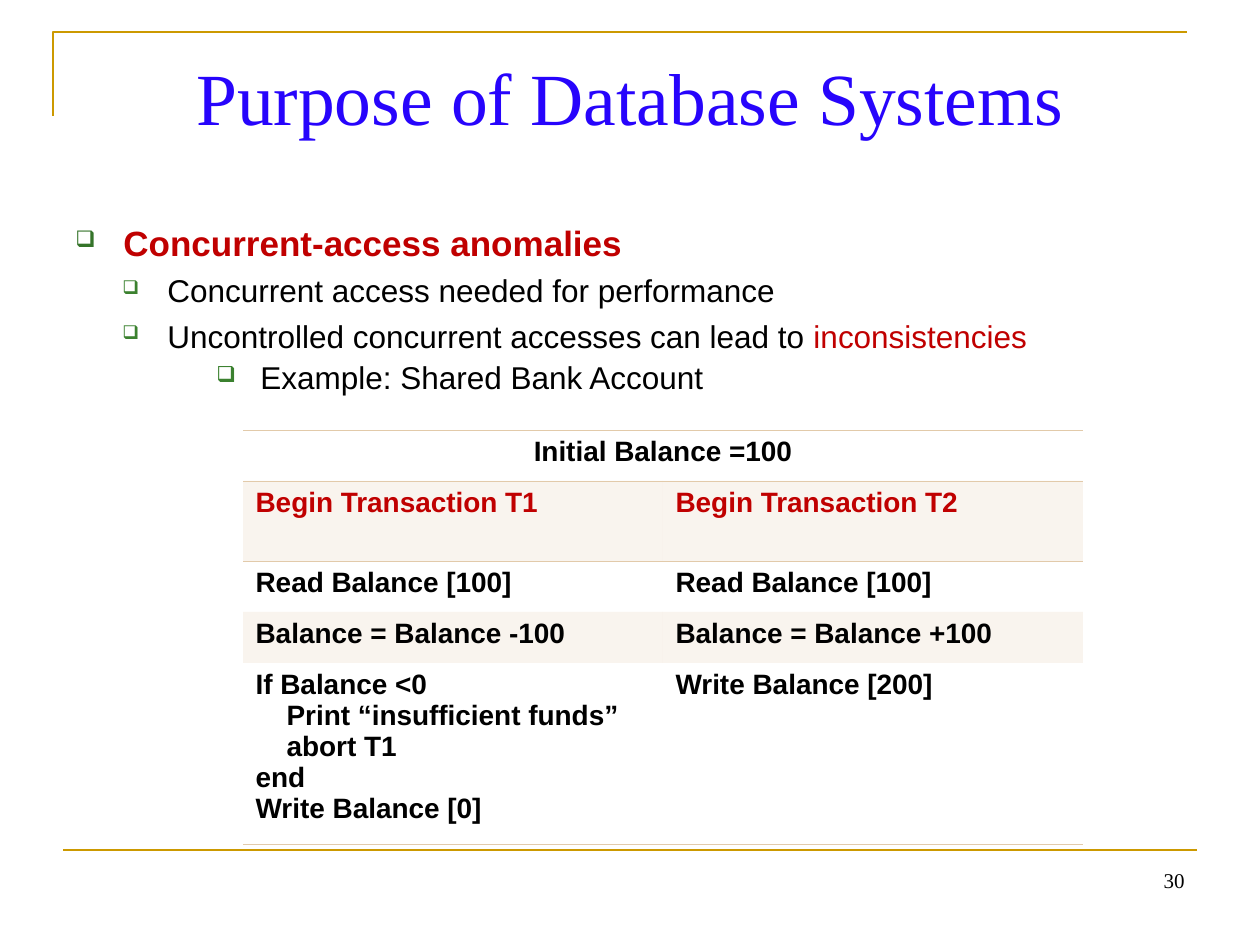
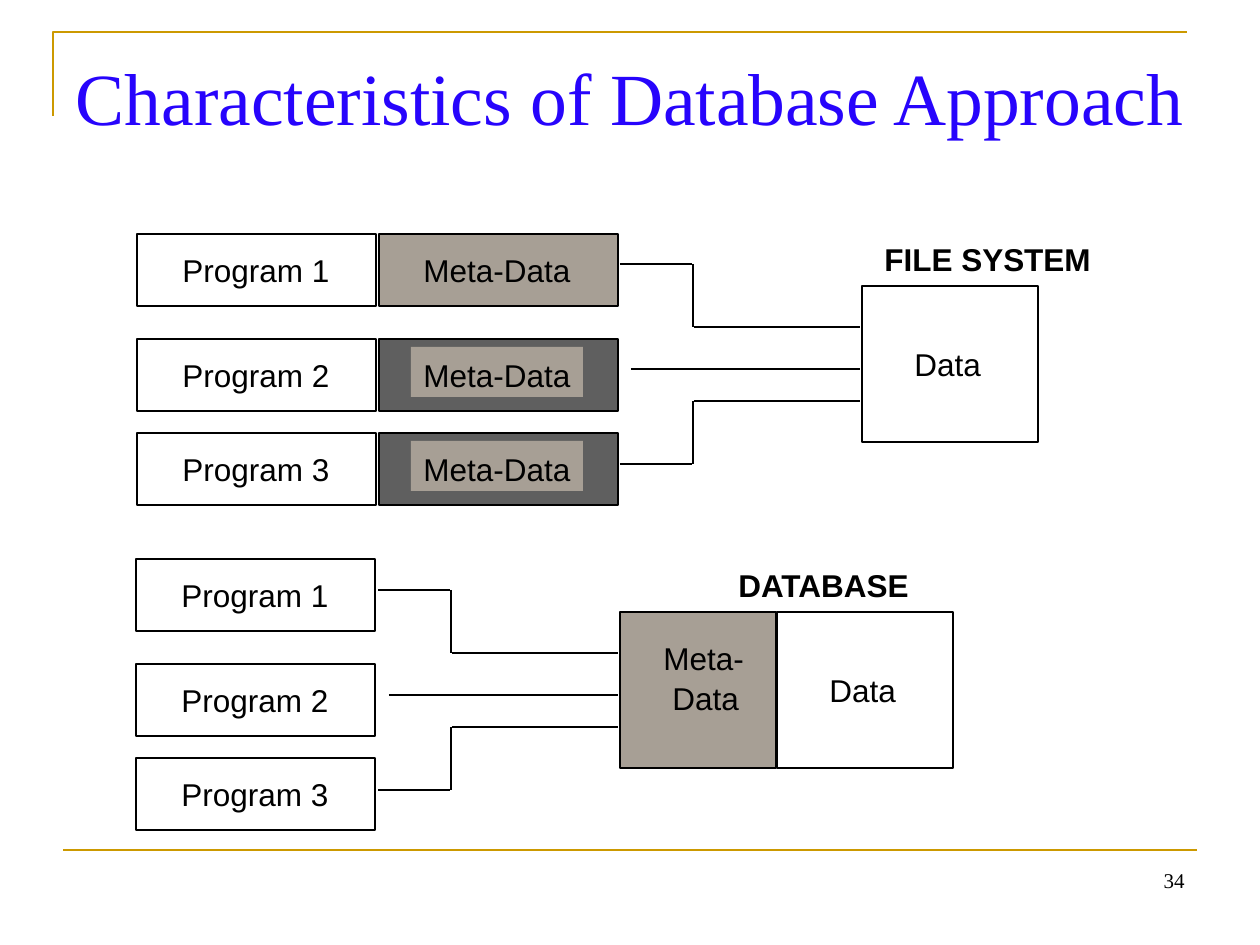
from lxml import etree
from pptx import Presentation
from pptx import util as u
from pptx.dml.color import RGBColor
from pptx.enum import shapes, text
from pptx.oxml import ns

# Shared style
PX = u.Inches(1) / 126
GOLD = RGBColor(0xCC, 0x99, 0x00)
BLUE = RGBColor(0x27, 0x04, 0xFC)
RED = RGBColor(0xC0, 0x00, 0x00)
BLACK = RGBColor(0, 0, 0)
DARK_GREEN = RGBColor(0x35, 0x74, 0x2A)
GREEN = RGBColor(0x3B, 0x81, 0x2F)
SAND = RGBColor(0xE2, 0xCA, 0xAA)
TAUPE = RGBColor(0xA7, 0x9F, 0x95)
GRAY = RGBColor(0x5F, 0x5F, 0x5F)
SERIF, SANS = "Times New Roman", "Arial"
PLAIN_TABLE = "{2D5ABB26-0587-4C30-8999-92F81FD0307C}"


def px(*lengths):
    return [u.Emu(round(length * PX)) for length in lengths]


def child(parent, tag, **attributes):
    element = etree.SubElement(parent, ns.qn(tag))
    for name, value in attributes.items():
        element.set(name, str(value))
    return element


def write(frame, words, size=18, font=SANS, color=BLACK, bold=False, align=None,
          level=0, indent=0, hanging=0, line_spacing=None, before=None,
          bullet=None, accent=""):
    """Add one paragraph; accent is a red ending, bullet is (colour, percent)."""
    first = frame.paragraphs[0]
    paragraph = frame.add_paragraph() if first.runs else first
    paragraph.level = level
    paragraph.alignment = align
    paragraph.line_spacing = line_spacing
    if before is not None:
        paragraph.space_before = u.Pt(before)
    for part, part_color in ((words, color), (accent, RED)):
        if part:
            run = paragraph.add_run()
            run.text = part
            run.font.size, run.font.name, run.font.bold = u.Pt(size), font, bold
            run.font.color.rgb = part_color
    properties = paragraph._p.get_or_add_pPr()
    if indent:
        left, first_line = px(indent, -hanging)
        properties.set("marL", str(left))
        properties.set("indent", str(first_line))
    if bullet:
        bullet_color, percent = bullet
        child(child(properties, "a:buClr"), "a:srgbClr", val=bullet_color)
        child(properties, "a:buSzPct", val=percent * 1000)
        child(properties, "a:buChar", char="❑")


class Deck:
    def __init__(self):
        self.presentation = Presentation()
        self.presentation.slide_width, self.presentation.slide_height = px(1260, 945)
        self.slide = None

    def start_slide(self, title, number):
        layout = self.presentation.slide_layouts[5]
        self.slide = self.presentation.slides.add_slide(layout)
        # Corner frame and footer rule
        builder = self.slide.shapes.build_freeform(53, 116, scale=PX)
        builder.add_line_segments([(53, 32), (1187, 32)], close=False)
        corner = builder.convert_to_shape()
        corner.shadow.inherit = False
        corner.fill.background()
        corner.line.color.rgb, corner.line.width = GOLD, u.Pt(1.5)
        self.line(63, 850, 1197, 850, GOLD, 1.5)
        # Title and page number
        shape = self.slide.shapes.title
        shape.left, shape.top, shape.width, shape.height = px(63, 38, 1134, 157)
        frame = shape.text_frame
        frame.word_wrap, frame.auto_size = True, text.MSO_AUTO_SIZE.NONE
        frame.vertical_anchor = text.MSO_ANCHOR.TOP
        frame.margin_left, frame.margin_right, frame.margin_top = px(0, 0, 14)
        write(frame, title, size=42, font=SERIF, color=BLUE, align=text.PP_ALIGN.CENTER)
        footer = self.text_box(903, 861, 294, 65)
        write(footer, number, size=12, font=SERIF, align=text.PP_ALIGN.RIGHT)

    def line(self, x1, y1, x2, y2, color=BLACK, width=1):
        connector = self.slide.shapes.add_connector(
            shapes.MSO_CONNECTOR.STRAIGHT, *px(x1, y1, x2, y2))
        connector.line.color.rgb, connector.line.width = color, u.Pt(width)
        child(connector._element.spPr, "a:effectLst")

    def text_box(self, left, top, width, height):
        frame = self.slide.shapes.add_textbox(*px(left, top, width, height)).text_frame
        frame.word_wrap = True
        return frame

    def box(self, left, top, width, height, fill=None, outline=True):
        shape = self.slide.shapes.add_shape(
            shapes.MSO_SHAPE.RECTANGLE, *px(left, top, width, height))
        shape.shadow.inherit = False
        if fill is None:
            shape.fill.background()
        else:
            shape.fill.solid()
            shape.fill.fore_color.rgb = fill
        if outline:
            shape.line.color.rgb, shape.line.width = BLACK, u.Pt(1)
        else:
            shape.line.fill.background()
        return shape

    def label(self, words, left, top, width, height=50, fill=None, bold=False):
        if fill is None:
            frame = self.text_box(left, top, width, height)
        else:
            frame = self.box(left, top, width, height, fill, outline=False).text_frame
        frame.word_wrap = False
        frame.vertical_anchor = text.MSO_ANCHOR.TOP
        write(frame, words, bold=bold, align=text.PP_ALIGN.LEFT, line_spacing=1.07)
        return frame

    def table(self, left, top, columns, rows):
        shape = self.slide.shapes.add_table(
            len(rows), len(columns), *px(left, top, sum(columns), sum(rows)))
        table = shape.table
        table.first_row = table.horz_banding = False
        table._tbl.tblPr.find(ns.qn("a:tableStyleId")).text = PLAIN_TABLE
        for column, width in zip(table.columns, px(*columns)):
            column.width = width
        for row, height in zip(table.rows, px(*rows)):
            row.height = height
        return table

    def tint(self, cell, color, percent):
        cell.fill.solid()
        cell.fill.fore_color.rgb = color
        fill_color = cell._tc.tcPr.find(".//" + ns.qn("a:srgbClr"))
        child(fill_color, "a:alpha", val=percent * 1000)

    def border(self, cell, tag):
        properties = cell._tc.get_or_add_tcPr()
        edge = child(properties, tag, w=u.Pt(0.45))
        child(child(edge, "a:solidFill"), "a:srgbClr", val=SAND)
        properties.insert(0, edge)


def anomalies_slide(deck):
    deck.start_slide("Purpose of Database Systems", "30")

    # Bullets
    body = deck.text_box(63, 221, 1134, 624)
    body.margin_top = 0
    write(body, "Concurrent-access anomalies", size=20, color=RED, bold=True,
          indent=48, hanging=48, before=5, bullet=(DARK_GREEN, 65))
    second = dict(level=1, indent=92, hanging=45, before=4.5, bullet=(GREEN, 60))
    write(body, "Concurrent access needed for performance", **second)
    write(body, "Uncontrolled concurrent accesses can lead to ",
          accent="inconsistencies", **second)
    write(body, "Example: Shared Bank Account", level=3, indent=185, hanging=44,
          line_spacing=0.9, before=4.5, bullet=(GREEN, 70))

    # Transactions, one list of (line, indent) or plain text per cell
    abort_steps = [("If Balance <0", 0), ("Print “insufficient funds”", 31),
                   ("abort T1", 31), ("end", 0), ("Write Balance [0]", 0)]
    steps = [
        ("Initial Balance =100", ""),
        ("Begin Transaction T1", "Begin Transaction T2"),
        ("Read Balance [100]", "Read Balance [100]"),
        ("Balance = Balance -100", "Balance = Balance +100"),
        (abort_steps, "Write Balance [200]"),
    ]
    table = deck.table(243, 430, [420, 420], [51, 80, 51, 51, 181])
    table.cell(0, 0).merge(table.cell(0, 1))
    for row, contents in enumerate(steps):
        for column, content in enumerate(contents):
            cell = table.cell(row, column)
            lines = [(content, 0)] if isinstance(content, str) else content
            for words, indent in lines:
                write(cell.text_frame, words, size=16, bold=True, indent=indent,
                      color=RED if row == 1 else BLACK,
                      align=text.PP_ALIGN.CENTER if row == 0 else None)
            if row % 2:
                deck.tint(cell, SAND, 20)
            else:
                cell.fill.background()
            if row in (0, len(steps) - 1):
                deck.border(cell, "a:lnB")
            if row in (0, 1):
                deck.border(cell, "a:lnT")


def approach_slide(deck):
    deck.start_slide("Characteristics of Database Approach", "34")
    row_offsets = (0, 105, 199)

    def programs(left, top):
        for number, offset in enumerate(row_offsets, 1):
            deck.box(left, top + offset, 239, 72)
            deck.label(f"Program {number}", left + 33, top + offset + 8, 172)

    def data_store(left, top):
        deck.box(left, top, 176, 156)
        deck.label("Data", left + 40, top + 50, 92)

    def wiring(left, top):
        bend, end = left + 73, left + 240
        deck.line(left + 11, top + 105, end, top + 105)
        for outer, inner in ((top, top + 63), (top + 200, top + 137)):
            deck.line(left, outer, bend - 1, outer)
            deck.line(bend, outer, bend, inner)
            deck.line(bend + 1, inner, end, inner)

    # File system: every program carries its own meta-data
    programs(137, 234)
    for offset, outer, inner in zip(row_offsets, (TAUPE, GRAY, GRAY), (None, TAUPE, TAUPE)):
        deck.box(379, 234 + offset, 239, 72, outer)
        deck.label("Meta-Data", 411, 242 + offset, 172, fill=inner)
    data_store(862, 286)
    wiring(620, 264)
    deck.label("FILE SYSTEM", 872, 231, 232, bold=True)

    # Database: meta-data is stored with the data
    programs(136, 559)
    deck.box(620, 612, 156, 156, TAUPE)
    meta = deck.label("Meta-", 651, 630, 106, 88)
    write(meta, "Data", indent=9, line_spacing=1.07)
    data_store(777, 612)
    wiring(378, 590)
    deck.label("DATABASE", 726, 557, 200, bold=True)


def main():
    deck = Deck()
    anomalies_slide(deck)
    approach_slide(deck)
    deck.presentation.save("out.pptx")


if __name__ == "__main__":
    main()
